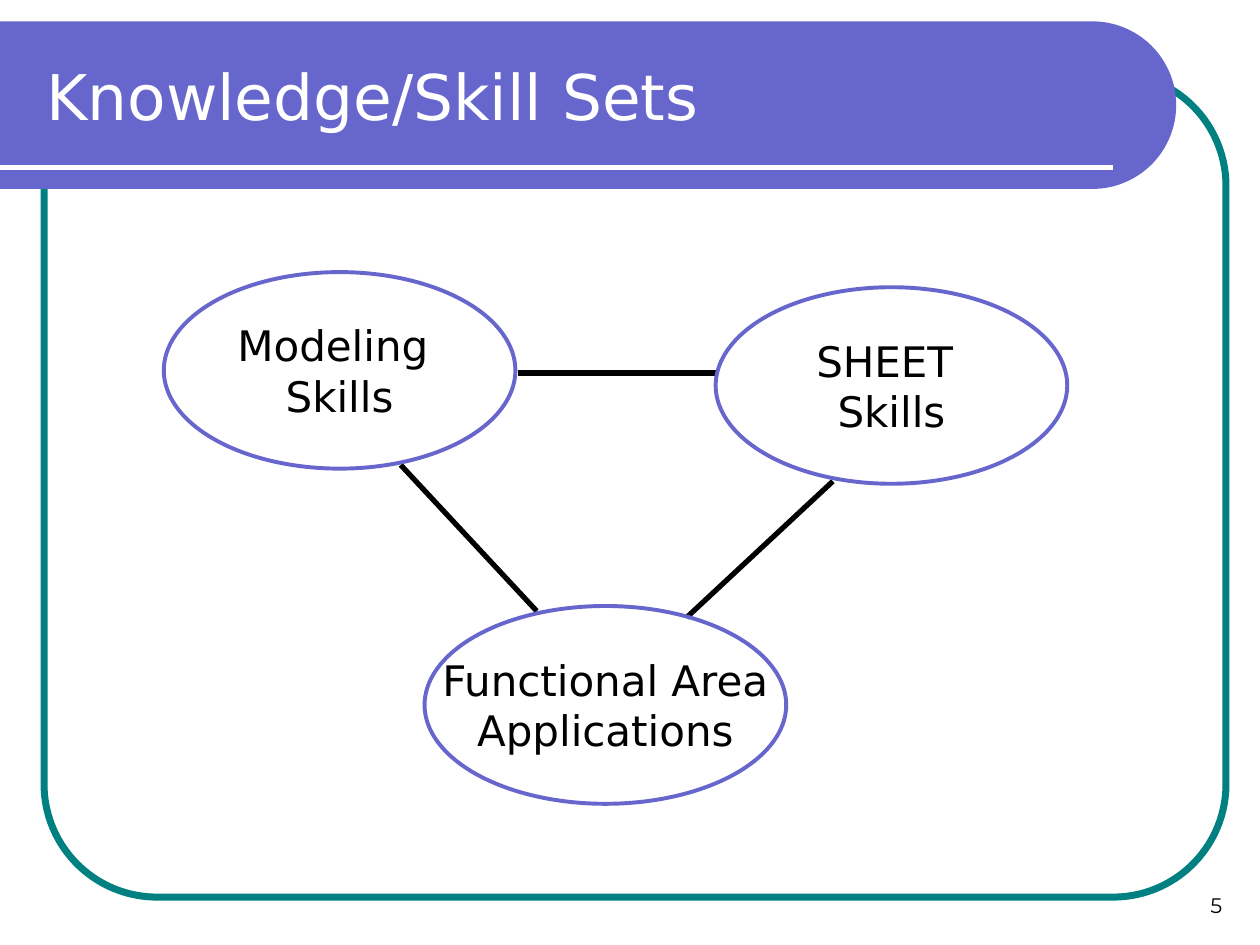
import math

from lxml import etree
from pptx import Presentation
from pptx.dml.color import RGBColor
from pptx.enum.shapes import MSO_CONNECTOR, MSO_SHAPE
from pptx.enum.text import MSO_ANCHOR, PP_ALIGN
from pptx.oxml.ns import qn
from pptx.util import Inches, Pt

STRAIGHT = MSO_CONNECTOR.STRAIGHT
OVAL, ROUNDED = MSO_SHAPE.OVAL, MSO_SHAPE.ROUNDED_RECTANGLE
MIDDLE, BOTTOM = MSO_ANCHOR.MIDDLE, MSO_ANCHOR.BOTTOM
LEFT, CENTER, RIGHT = PP_ALIGN.LEFT, PP_ALIGN.CENTER, PP_ALIGN.RIGHT
COLORS = {name: RGBColor.from_string(value) for name, value in {
    "teal": "008080", "violet": "6666CC", "white": "FFFFFF", "black": "000000",
}.items()}


def write(box, lines, color, size, align, anchor, wrap=True, font="DejaVu Sans"):
    frame = box.text_frame
    frame.word_wrap = wrap
    frame.vertical_anchor = anchor
    for index, line in enumerate(lines):
        para = frame.paragraphs[0] if index == 0 else frame.add_paragraph()
        para.alignment = align
        span = para.add_run()
        span.text = line
        for key, value in {"name": font, "size": Pt(size)}.items():
            setattr(span.font, key, value)
        span.font.color.rgb = COLORS[color]


def draw_line(page, start, end, color):
    line = page.shapes.add_connector(STRAIGHT, *map(Inches, start + end))
    line.line.color.rgb = COLORS[color]
    line.line.width = Pt(3)
    properties = line.element.find(qn("p:spPr"))
    etree.SubElement(properties, qn("a:effectLst"))


deck = Presentation()
deck.slide_width, deck.slide_height = Inches(10), Inches(7.5)
page = deck.slides.add_slide(deck.slide_layouts[6])

# Rounded frame
frame = page.shapes.add_shape(ROUNDED, *map(Inches, (0.35, 0.58, 9.38, 6.54)))
frame.shadow.inherit = False
frame.adjustments[0] = 0.137
frame.fill.background()
frame.line.color.rgb = COLORS["teal"]
frame.line.width = Pt(4)

# Title banner with a half-round right end
top, bottom, straight_end = 0.17, 1.5, 8.67
radius = (bottom - top) / 2
arc = [(Inches(straight_end + radius * math.cos(math.radians(angle))),
        Inches(top + radius + radius * math.sin(math.radians(angle))))
       for angle in range(-90, 91, 3)]
builder = page.shapes.build_freeform(0, Inches(top))
builder.add_line_segments(arc + [(0, Inches(bottom))], close=True)
banner = builder.convert_to_shape()
banner.shadow.inherit = False
banner.fill.solid()
banner.fill.fore_color.rgb = COLORS["violet"]
banner.line.fill.background()
draw_line(page, (0, 1.33), (8.83, 1.33), "white")

# Title and slide number
title = page.shapes.add_textbox(*map(Inches, (0.27, 0.13, 9, 1.25)))
write(title, ["Knowledge/Skill Sets"], "white", 36, LEFT, MIDDLE)
number = page.shapes.add_textbox(*map(Inches, (7.47, 6.83, 2.33, 0.5)))
write(number, ["5"], "black", 12, RIGHT, BOTTOM, font="Montserrat")

# Links between the skill sets
for start, end in [
    ((3.18, 3.69), (4.26, 4.85)),
    ((6.61, 3.82), (5.45, 4.9)),
    ((4.11, 2.96), (5.68, 2.96)),
]:
    draw_line(page, start, end, "black")

# Skill set ovals
for lines, place in [
    (["Modeling ", "Skills"], (1.3, 2.16, 2.79, 1.56)),
    (["SHEET ", "Skills"], (5.68, 2.28, 2.79, 1.56)),
    (["Functional Area", "Applications"], (3.37, 4.81, 2.87, 1.57)),
]:
    oval = page.shapes.add_shape(OVAL, *map(Inches, place))
    oval.shadow.inherit = False
    oval.fill.background()
    oval.line.color.rgb = COLORS["violet"]
    oval.line.width = Pt(2.25)
    write(oval, lines, "black", 24, CENTER, MIDDLE, wrap=False)

deck.save("out.pptx")
